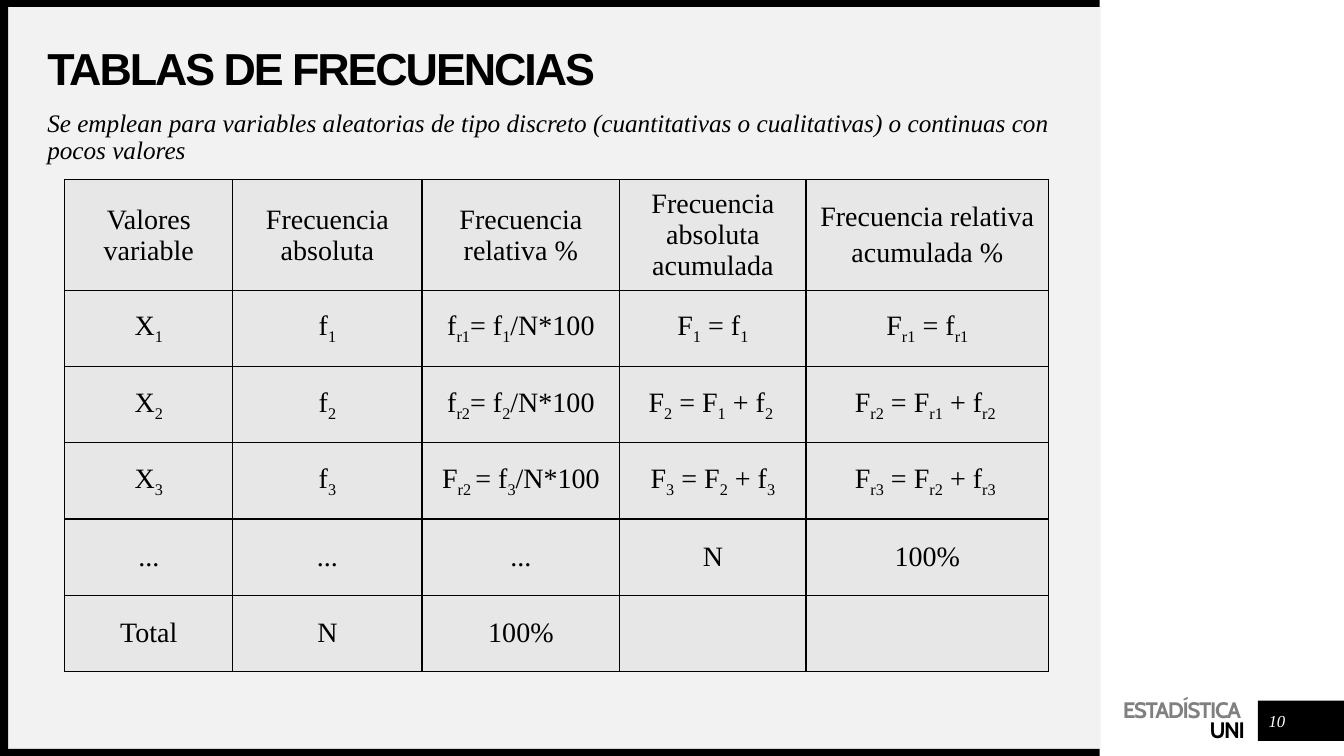
from lxml import etree
from pptx import Presentation
from pptx import util as u
from pptx.dml.color import RGBColor
from pptx.enum import shapes, text
from pptx.oxml.ns import qn


class Theme:
    black = RGBColor(0x00, 0x00, 0x00)
    white = RGBColor(0xFF, 0xFF, 0xFF)
    grey = RGBColor(0x80, 0x80, 0x80)
    panel = RGBColor(0xF2, 0xF2, 0xF2)
    cell = RGBColor(0xE7, 0xE7, 0xE7)
    heading, serif, mark = "Arial", "Times New Roman", "Cabin"
    title_size, cell_size, intro_size = u.Pt(32), u.Pt(20), u.Pt(18)
    mark_size, number_size = u.Pt(16), u.Pt(12)


def add_text(area, margin_top=0, anchor=text.MSO_ANCHOR.TOP):
    box = slide.shapes.add_textbox(*map(u.Pt, area))
    frame = box.text_frame
    frame.word_wrap = True
    frame.vertical_anchor = anchor
    frame.margin_left = frame.margin_right = frame.margin_bottom = 0
    frame.margin_top = u.Pt(margin_top)
    return frame


def write(para, content, name, size, color, bold=False, italic=False, spacing=0):
    """Text between ~ marks is set as subscript."""
    font = para.font
    font.name, font.size, font.bold, font.italic = name, size, bold, italic
    font.color.rgb = color
    for index, part in enumerate(content.split("~")):
        if not part:
            continue
        span = para.add_run()
        span.text = part
        if index % 2:
            span.font._element.set("baseline", "-25000")
        if spacing:
            span.font._element.set("spc", str(spacing))


deck = Presentation()
deck.slide_width, deck.slide_height = u.Pt(960), u.Pt(540)
slide = deck.slides.add_slide(deck.slide_layouts[6])

# Background panel, page number block and frame bars
blocks = [
    ((5.8, 5, 780.5, 530), Theme.panel),
    ((898.5, 500.4, 61.5, 28.8), Theme.black),
    ((0, 535, 785.5, 5), Theme.black),
    ((0, 0, 785.5, 5), Theme.black),
    ((0, 2.5, 5.8, 537.5), Theme.black),
]
for area, color in blocks:
    block = slide.shapes.add_shape(shapes.MSO_SHAPE.RECTANGLE, *map(u.Pt, area))
    block.shadow.inherit = False
    block.fill.solid()
    block.fill.fore_color.rgb = color
    block.line.fill.background()

# Course mark
frame = add_text((758.2, 499.7, 131, 31.7), margin_top=3)
for index, (word, color) in enumerate([("ESTADÍSTICA ", Theme.grey), ("UNI", Theme.black)]):
    para = frame.add_paragraph() if index else frame.paragraphs[0]
    para.alignment = text.PP_ALIGN.RIGHT
    para.line_spacing = u.Pt(14)
    write(para, word, Theme.mark, Theme.mark_size, color, bold=True, spacing=-100)

# Title, introduction and page number
para = add_text((33.8, 33.8, 724.3, 33.8), anchor=text.MSO_ANCHOR.MIDDLE).paragraphs[0]
para.line_spacing = 0.9
write(para, "TABLAS DE FRECUENCIAS", Theme.heading, Theme.title_size, Theme.black,
      bold=True, spacing=-150)

para = add_text((33.8, 79.2, 724.3, 28)).paragraphs[0]
para.line_spacing = 0.9
para.space_before = u.Pt(10)
write(para, "Se emplean para variables aleatorias de tipo discreto (cuantitativas o "
      "cualitativas) o continuas con pocos valores",
      Theme.serif, Theme.intro_size, Theme.black, italic=True)

para = add_text((901.4, 504, 21.6, 21.6), anchor=text.MSO_ANCHOR.MIDDLE).paragraphs[0]
para.alignment = text.PP_ALIGN.CENTER
write(para, "10", Theme.serif, Theme.number_size, Theme.white, italic=True)

# Frequency table
rows = [
    ["Valores variable", "Frecuencia absoluta", "Frecuencia relativa %",
     "Frecuencia absoluta acumulada", "Frecuencia relativa\nacumulada %"],
    ["X~1~", "f~1~", "f~r1~= f~1~/N*100", "F~1~ = f~1~", "F~r1~ = f~r1~"],
    ["X~2~", "f~2~", "f~r2~= f~2~/N*100", "F~2~ = F~1~ + f~2 ~", "F~r2~ = F~r1~ + f~r2 ~"],
    ["X~3~", "f~3~", "F~r2 ~= f~3~/N*100", "F~3~ = F~2~ + f~3~", "F~r3~ = F~r2~ + f~r3 ~"],
    ["...", "...", "...", "N", "100%"],
    ["Total", "N", "100%", "", ""],
]
widths = [120, 135.2, 141.3, 133, 173.4]
heights = [79.2] + [54.4] * 5
table = slide.shapes.add_table(
    len(rows), len(widths), u.Pt(46.3), u.Pt(128.3),
    u.Pt(sum(widths)), u.Pt(sum(heights))).table
table.first_row = table.horz_banding = False
for column, width in zip(table.columns, widths):
    column.width = u.Pt(width)

for row, height, contents in zip(table.rows, heights, rows):
    row.height = u.Pt(height)
    for cell, content in zip(row.cells, contents):
        cell.vertical_anchor = text.MSO_ANCHOR.MIDDLE
        # Borders come before the fill in the cell properties
        properties = cell._tc.get_or_add_tcPr()
        for side in ("a:lnL", "a:lnR", "a:lnT", "a:lnB"):
            border = etree.SubElement(properties, qn(side), w=str(u.Pt(1)))
            fill = etree.SubElement(border, qn("a:solidFill"))
            etree.SubElement(fill, qn("a:srgbClr"), val=str(Theme.black))
        cell.fill.solid()
        cell.fill.fore_color.rgb = Theme.cell
        for index, line in enumerate(content.split("\n")):
            frame = cell.text_frame
            para = frame.add_paragraph() if index else frame.paragraphs[0]
            para.alignment = text.PP_ALIGN.CENTER
            para.space_before = u.Pt(4)
            write(para, line, Theme.serif, Theme.cell_size, Theme.black)

deck.save("out.pptx")
